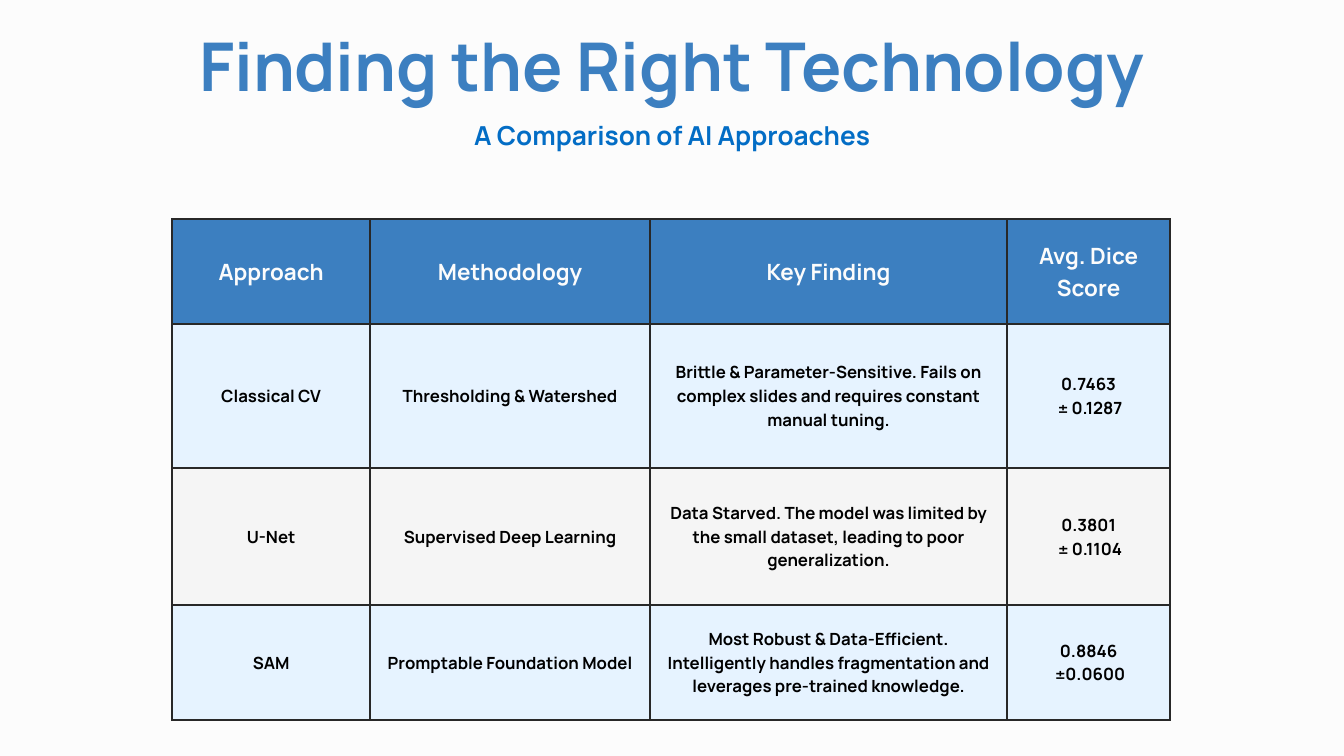
import pptx
import pptx.dml.color
import pptx.enum.text
import pptx.util
from lxml import etree
from pptx.oxml.ns import qn

TITLE = "Finding the Right Technology"
SUBTITLE = "A Comparison of AI Approaches"
HEADERS = ["Approach", "Methodology", "Key Finding", "Avg. Dice Score"]
APPROACHES = [
    ["Classical CV", "Thresholding & Watershed",
     "Brittle & Parameter-Sensitive. Fails on complex slides and requires constant manual tuning.",
     "0.7463\n ± 0.1287"],
    ["U-Net", "Supervised Deep Learning",
     "Data Starved. The model was limited by the small dataset, leading to poor generalization.",
     "0.3801\n ± 0.1104"],
    ["SAM", "Promptable Foundation Model",
     "Most Robust & Data-Efficient. Intelligently handles fragmentation and leverages "
     "pre-trained knowledge.",
     "0.8846\n ±0.0600"],
]

COLORS = {"background": "FCFCFC", "blue": "3C7FC0", "subtitle": "036DC5", "text": "000000",
          "border": "282828", "odd": "E6F3FF", "even": "F5F5F5"}
FONT = "Manrope"
LINE_SPACING = 1.4
SLIDE_WIDTH, SLIDE_HEIGHT = 20, 11.25
TITLE_WIDTH, SUBTITLE_WIDTH = 15.08, 16.34
TABLE_LEFT, TABLE_TOP = 2.56, 3.26
COLUMN_WIDTHS = [2.95, 4.16, 5.32, 2.42]
ROW_HEIGHTS = [1.56, 2.14, 2.05, 1.7]
CELL_MARGIN = 0.21
BORDER_WIDTH = 2.25

Inches, Pt = pptx.util.Inches, pptx.util.Pt
SIDES = ("left", "top", "right", "bottom")


def rgb(name):
    return pptx.dml.color.RGBColor.from_string(COLORS[name])


def write_text(text_frame, text, size, color):
    """Write centred bold lines with line spacing in proportion to the size."""
    text_frame.text = text
    for paragraph in text_frame.paragraphs:
        paragraph.alignment = pptx.enum.text.PP_ALIGN.CENTER
        paragraph.line_spacing = Pt(size * LINE_SPACING)
        values = {"name": FONT, "size": Pt(size), "bold": True}
        for run in paragraph.runs:
            for attribute, value in values.items():
                setattr(run.font, attribute, value)
            run.font.color.rgb = rgb(color)


def format_heading(shape, text, size, color):
    frame = shape.text_frame
    values = {"word_wrap": True, "auto_size": pptx.enum.text.MSO_AUTO_SIZE.NONE,
              "vertical_anchor": pptx.enum.text.MSO_ANCHOR.TOP}
    values.update({f"margin_{side}": 0 for side in SIDES})
    for attribute, value in values.items():
        setattr(frame, attribute, value)
    write_text(frame, text, size, color)


def centred_box(width, top, height):
    return [Inches(length) for length in ((SLIDE_WIDTH - width) / 2, top, width, height)]


def add_borders(cell):
    properties = cell._tc.get_or_add_tcPr()
    for tag in ("a:lnL", "a:lnR", "a:lnT", "a:lnB"):
        line = etree.SubElement(properties, qn(tag), w=str(Pt(BORDER_WIDTH)))
        fill = etree.SubElement(line, qn("a:solidFill"))
        etree.SubElement(fill, qn("a:srgbClr"), val=COLORS["border"])


def format_cell(cell, text, size, text_color, fill_color):
    for side in SIDES:
        setattr(cell, f"margin_{side}", Inches(CELL_MARGIN))
    cell.vertical_anchor = pptx.enum.text.MSO_ANCHOR.MIDDLE
    add_borders(cell)
    cell.fill.solid()
    cell.fill.fore_color.rgb = rgb(fill_color)
    write_text(cell.text_frame, text, size, text_color)


def add_comparison_table(slide):
    rows = [HEADERS] + APPROACHES
    table = slide.shapes.add_table(
        len(rows), len(HEADERS), Inches(TABLE_LEFT), Inches(TABLE_TOP),
        Inches(sum(COLUMN_WIDTHS)), Inches(sum(ROW_HEIGHTS))).table
    for column, width in zip(table.columns, COLUMN_WIDTHS):
        column.width = Inches(width)
    for index, (row, height, texts) in enumerate(zip(table.rows, ROW_HEIGHTS, rows)):
        row.height = Inches(height)
        if index == 0:
            style = (24, "background", "blue")
        else:
            style = (18, "text", "odd" if index % 2 else "even")
        for cell, text in zip(row.cells, texts):
            format_cell(cell, text, *style)


def main():
    presentation = pptx.Presentation()
    presentation.slide_width = Inches(SLIDE_WIDTH)
    presentation.slide_height = Inches(SLIDE_HEIGHT)
    slide = presentation.slides.add_slide(presentation.slide_layouts.get_by_name("Title Only"))
    slide.background.fill.solid()
    slide.background.fill.fore_color.rgb = rgb("background")

    title = slide.shapes.title
    title.left, title.top, title.width, title.height = centred_box(TITLE_WIDTH, 0.16, 1.58)
    format_heading(title, TITLE, 72, "blue")
    subtitle = slide.shapes.add_textbox(*centred_box(SUBTITLE_WIDTH, 1.7, 0.62))
    format_heading(subtitle, SUBTITLE, 28, "subtitle")
    add_comparison_table(slide)
    presentation.save("out.pptx")


if __name__ == "__main__":
    main()
